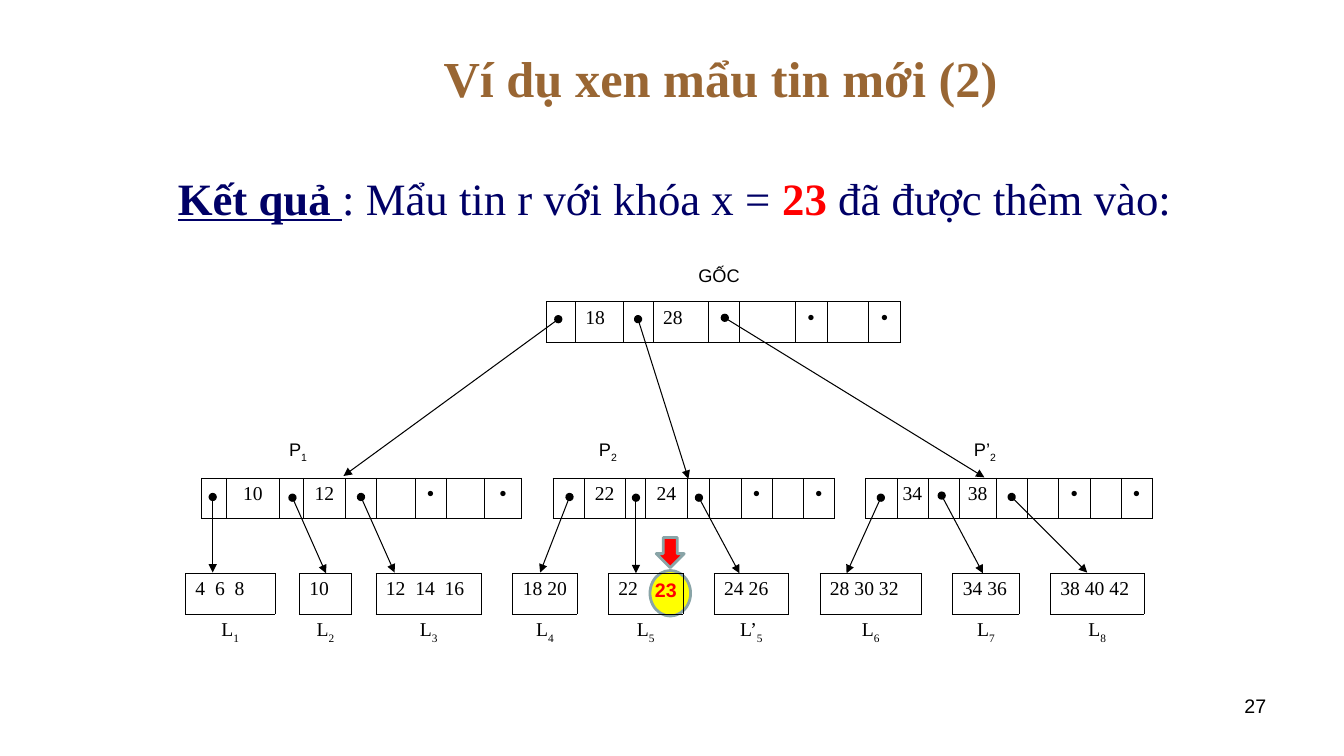
from dataclasses import dataclass

from lxml import etree
from pptx import Presentation
from pptx import util as u
from pptx.dml.color import RGBColor
from pptx.enum import shapes, text
from pptx.oxml import ns

COLOURS = {
    "black": "000000", "brown": "996633", "navy": "000066",
    "red": "FF0000", "yellow": "FFFF00", "grey": "89A4A7",
}
SERIF, SANS = "Times New Roman", "Arial"
ALIGN, ANCHOR = text.PP_ALIGN, text.MSO_ANCHOR
BORDER = 0.45
ROW = 29


@dataclass
class Node:
    """A tree node: pointer and key cells alternate, with two keys in use."""
    keys: tuple[str, str]
    widths: list[float]

    def cells(self) -> list[str]:
        first, second = self.keys
        return ["", first, "", second, "", "", "•", "", "•"]


@dataclass
class Leaf:
    records: str
    name: str
    index: str
    width: float
    gap: float = 22.3
    pitch: float = 0


@dataclass
class Pointer:
    start: tuple[float, float]
    end: tuple[float, float]


ROOT = Node(("18", "28"), [20.9, 34.6, 20.9, 39.6, 22.3, 39.6, 23, 29.5, 23])
ROOT_INDENT = 94.3
CHILD_GAP = 22.3
CHILDREN = [
    Node(("10", "12"), [18, 37.4, 17.3, 30.2, 22.3, 27.4, 22.3, 27.4, 26.6]),
    Node(("22", "24"), [22.3, 29.5, 14.4, 30.2, 15.8] + [22.3] * 4),
    Node(("34", "38"), [22.3] * 3 + [26.6] + [22.3] * 5),
]
LEAVES = [
    Leaf("4\t6\t8", "L", "1", 64.1, 17.3, 14),
    Leaf("10", "L", "2", 37.4, 17.3),
    Leaf("12\t14\t16", "L", "3", 75.6, pitch=21),
    Leaf("18 20", "L", "4", 46.1),
    Leaf("22", "L", "5", 53.3),
    Leaf("24 26", "L’", "5", 53.3),
    Leaf("28 30 32", "L", "6", 72.7),
    Leaf("34 36", "L", "7", 47.5),
    Leaf("38 40 42", "L", "8", 67),
]
POINTERS = [
    Pointer((399, 228), (245.5, 340)),
    Pointer((456, 228), (492, 342)),
    Pointer((518, 227), (703.5, 341)),
    Pointer((152, 355), (152, 409)),
    Pointer((209, 355.5), (233, 409.5)),
    Pointer((258, 355), (282, 409)),
    Pointer((407, 355), (386, 409)),
    Pointer((454.5, 355.5), (454.5, 409.5)),
    Pointer((499.5, 355.5), (528.5, 409.5)),
    Pointer((629.5, 355.5), (605, 409.5)),
    Pointer((673, 354), (702.5, 409.5)),
    Pointer((723, 355), (777, 409)),
]


def colour(name: str) -> RGBColor:
    return RGBColor.from_string(COLOURS[name])


def write(paragraph, words: str, *, size: float = 14, font: str = SERIF, ink: str = "black",
          bold: bool = False, underline: bool = False, subscript: int = 0) -> None:
    run = paragraph.add_run()
    run.text = words
    run.font.size, run.font.name = u.Pt(size), font
    run.font.bold, run.font.underline = bold, underline
    run.font.color.rgb = colour(ink)
    if subscript:
        run._r.get_or_add_rPr().set("baseline", str(-1000 * subscript))


def add_tabs(paragraph, stops: list[float]) -> None:
    tabs = etree.SubElement(paragraph._p.get_or_add_pPr(), ns.qn("a:tabLst"))
    for stop in stops:
        etree.SubElement(tabs, ns.qn("a:tab"), pos=str(int(u.Pt(stop))), algn="l")


def add_text_box(slide, left: float, top: float, width: float, height: float, *,
                 wrap: bool = True, anchor=ANCHOR.TOP, align=ALIGN.LEFT):
    """Adds a text box and returns its first paragraph."""
    frame = slide.shapes.add_textbox(*map(u.Pt, (left, top, width, height))).text_frame
    frame.word_wrap, frame.vertical_anchor = wrap, anchor
    frame.paragraphs[0].alignment = align
    return frame.paragraphs[0]


def add_marker(slide, kind, left: float, top: float, width: float, height: float, fill: str) -> None:
    shape = slide.shapes.add_shape(kind, *map(u.Pt, (left, top, width, height)))
    shape.shadow.inherit = False
    shape.fill.solid()
    shape.fill.fore_color.rgb = colour(fill)
    shape.line.color.rgb = colour("grey")
    shape.line.width = u.Pt(2)


def add_grid(slide, left: float, top: float, widths: list[float], heights: list[float],
             framed: set[tuple[int, int]]):
    """Adds a table without fill, with lines only around the framed cells."""
    table = slide.shapes.add_table(len(heights), len(widths), u.Pt(left), u.Pt(top),
                                   u.Pt(sum(widths)), u.Pt(sum(heights))).table
    table.first_row = table.horz_banding = False
    for column, width in zip(table.columns, widths):
        column.width = u.Pt(width)
    for row, height in enumerate(heights):
        table.rows[row].height = u.Pt(height)
        for column in range(len(widths)):
            cell = table.cell(row, column)
            properties = cell._tc.get_or_add_tcPr()
            neighbours = {"L": (row, column - 1), "R": (row, column + 1),
                          "T": (row - 1, column), "B": (row + 1, column)}
            for side, neighbour in neighbours.items():
                line = etree.SubElement(properties, ns.qn(f"a:ln{side}"), w=str(int(u.Pt(BORDER))))
                if framed & {(row, column), neighbour}:
                    fill = etree.SubElement(line, ns.qn("a:solidFill"))
                    etree.SubElement(fill, ns.qn("a:srgbClr"), val=COLOURS["black"])
                else:
                    etree.SubElement(line, ns.qn("a:noFill"))
            cell.fill.background()
    return table


def fill_node(table, first_column: int, node: Node, key_align, margin: float) -> None:
    for column, words in enumerate(node.cells(), first_column):
        cell = table.cell(0, column)
        cell.margin_left = cell.margin_right = u.Pt(margin)
        if words:
            paragraph = cell.text_frame.paragraphs[0]
            is_dot = words == "•"
            paragraph.alignment = ALIGN.CENTER if is_dot else key_align
            write(paragraph, words, font=SANS if is_dot else SERIF)


def add_root(slide) -> None:
    framed = {(0, column) for column in range(1, 10)}
    table = add_grid(slide, 296, 215.5, [ROOT_INDENT] + ROOT.widths, [ROW], framed)
    fill_node(table, 1, ROOT, ALIGN.LEFT, 7.2)


def add_children(slide) -> None:
    widths = []
    for child in CHILDREN:
        widths += ([CHILD_GAP] if widths else []) + child.widths
    framed = {(0, column) for column in range(len(widths)) if column % 10 != 9}
    table = add_grid(slide, 144, 341.5, widths, [ROW], framed)
    for number, child in enumerate(CHILDREN):
        fill_node(table, 10 * number, child, ALIGN.CENTER, 3.6)


def add_leaves(slide) -> None:
    widths = [width for leaf in LEAVES for width in (leaf.width, leaf.gap)][:-1]
    framed = {(0, column) for column in range(0, len(widths), 2)}
    table = add_grid(slide, 132.5, 409.5, widths, [ROW, 27.5], framed)
    for number, leaf in enumerate(LEAVES):
        records, label = (table.cell(row, 2 * number).text_frame.paragraphs[0] for row in (0, 1))
        if leaf.pitch:
            add_tabs(records, [leaf.pitch, 2 * leaf.pitch])
        write(records, leaf.records)
        label.alignment = ALIGN.CENTER
        write(label, leaf.name)
        write(label, leaf.index, subscript=30)


def add_pointer(slide, pointer: Pointer) -> None:
    connector = slide.shapes.add_connector(shapes.MSO_CONNECTOR.STRAIGHT,
                                           *map(u.Pt, pointer.start + pointer.end))
    connector.line.color.rgb = colour("black")
    connector.line.width = u.Pt(0.75)
    line = connector.line._get_or_add_ln()
    etree.SubElement(line, ns.qn("a:headEnd"), type="oval")
    etree.SubElement(line, ns.qn("a:tailEnd"), type="triangle")
    etree.SubElement(connector._element.spPr, ns.qn("a:effectLst"))


def add_heading(slide) -> None:
    title = slide.shapes.title
    title.left, title.top, title.width, title.height = map(u.Pt, (224, 18, 582, 74))
    title.text_frame.vertical_anchor = ANCHOR.MIDDLE
    paragraph = title.text_frame.paragraphs[0]
    paragraph.alignment = ALIGN.CENTER
    write(paragraph, "Ví dụ xen mẩu tin mới (2)", size=36, ink="brown", bold=True)

    result = add_text_box(slide, 120, 122.5, 762, 60)
    result.line_spacing = 0.9
    write(result, "Kết quả ", size=32, ink="navy", bold=True, underline=True)
    write(result, ": Mẩu tin r với khóa x = ", size=32, ink="navy")
    write(result, "23", size=32, ink="red", bold=True)
    write(result, " đã được thêm vào:", size=32, ink="navy")


def add_node_names(slide) -> None:
    write(add_text_box(slide, 492, 185, 44, 23, wrap=False, anchor=ANCHOR.MIDDLE),
          "GỐC", size=13, font=SANS)
    names = add_text_box(slide, 156, 309, 654, 26, anchor=ANCHOR.MIDDLE)
    add_tabs(names, [43.5, 265, 533])
    for name, index in (("P", "1"), ("P", "2"), ("P’", "2")):
        write(names, "\t" + name, size=13, font=SANS)
        write(names, index, size=13, font=SANS, subscript=25)


def main() -> None:
    presentation = Presentation()
    presentation.slide_width, presentation.slide_height = u.Pt(960.5), u.Pt(540)
    slide = presentation.slides.add_slide(presentation.slide_layouts[5])
    add_marker(slide, shapes.MSO_SHAPE.OVAL, 464.5, 407.5, 29, 32.5, "yellow")
    write(add_text_box(slide, 688, 492, 224, 37, align=ALIGN.RIGHT), "27", font=SANS)
    add_heading(slide)
    add_node_names(slide)
    add_root(slide)
    add_children(slide)
    add_leaves(slide)
    for pointer in POINTERS:
        add_pointer(slide, pointer)
    add_marker(slide, shapes.MSO_SHAPE.DOWN_ARROW, 469, 384, 20, 21.5, "red")
    write(add_text_box(slide, 461, 409, 30, 24.5), "23", font=SANS, ink="red", bold=True)
    presentation.save("out.pptx")


if __name__ == "__main__":
    main()
